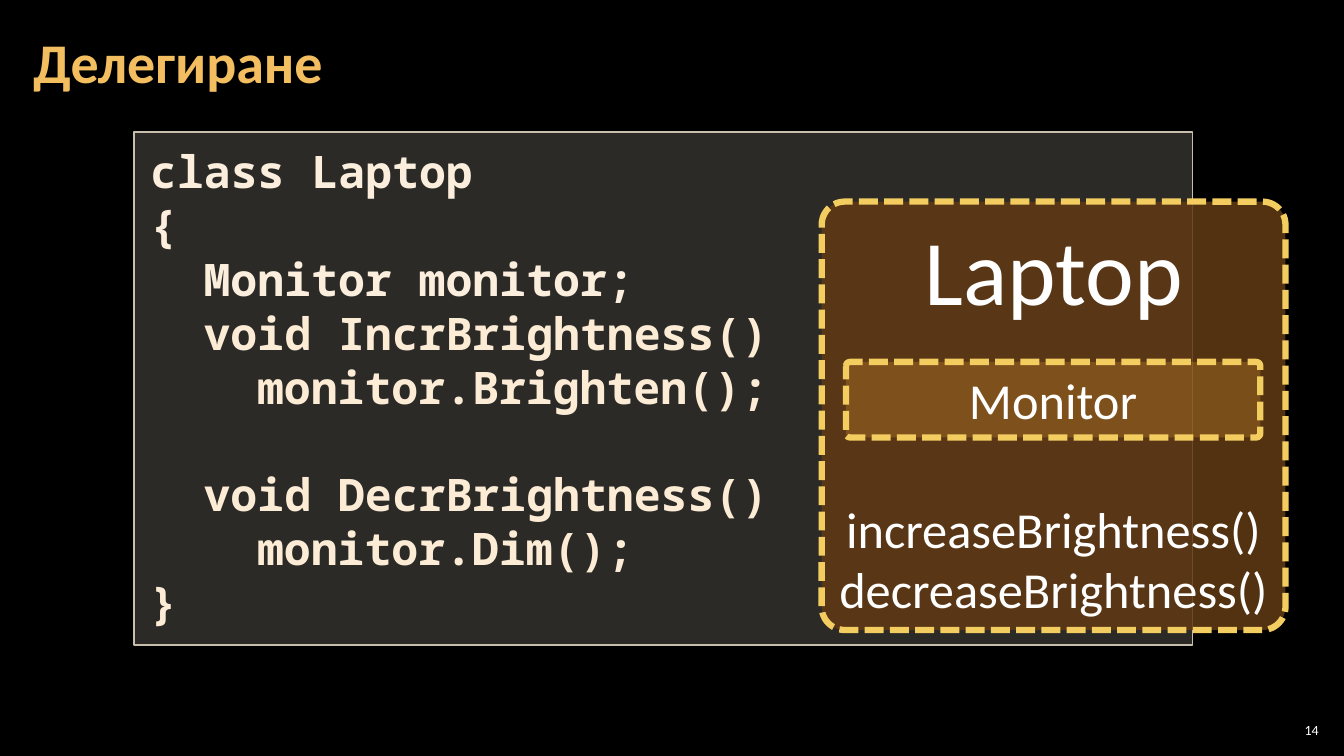
from pptx import Presentation
from pptx.dml.color import RGBColor
from pptx.enum.dml import MSO_LINE
from pptx.enum.shapes import MSO_SHAPE as SHAPE
from pptx.enum.text import MSO_ANCHOR as ANCHOR, PP_ALIGN as ALIGN
from pptx.oxml.ns import qn
from pptx.util import Inches, Pt
from lxml.etree import SubElement

COLORS = {
    "background": "000000",
    "title": "F3BE60",
    "white": "FFFFFF",
    "panel": "D9D5C7",
    "panel_line": "C7BFAC",
    "declaration": "FBEEDC",
    "method": "FCECD5",
    "laptop": "603A14",
    "monitor": "F0A22E",
    "dash": "F3CD60",
}
TEXT_FONT = "Calibri"
CODE_FONT = "Noto Sans Mono"
CODE_PITCH = Pt(38.4)
CODE_INDENT = 0.53

CODE = [
    ("class Laptop", 0, 0, "declaration"),
    ("{", 0, 0, "declaration"),
    ("Monitor monitor;", 1, 0, "declaration"),
    ("void IncrBrightness()", 1, 0, "method"),
    ("monitor.Brighten();", 2, 0, "method"),
    ("void DecrBrightness()", 1, 1, "method"),
    ("monitor.Dim();", 2, 0, "method"),
    ("}", 0, 0, "method"),
]


class Deck:
    def __init__(self):
        self.prs = Presentation()
        self.prs.slide_width = Inches(13.33)
        self.prs.slide_height = Inches(7.5)
        self.s = self.prs.slides.add_slide(self.prs.slide_layouts[5])
        fill = self.s.background.fill
        fill.solid()
        fill.fore_color.rgb = self.color("background")

    def color(self, name):
        return RGBColor.from_string(COLORS[name])

    def frame(self, sp, margin_x, margin_y, anchor):
        tf = sp.text_frame
        tf.word_wrap = True
        tf.vertical_anchor = anchor
        tf.margin_left = tf.margin_right = Inches(margin_x)
        tf.margin_top = tf.margin_bottom = Inches(margin_y)
        return tf

    def paragraph(self, tf, text, size, color, align=ALIGN.LEFT, font=TEXT_FONT, bold=False):
        p = tf.add_paragraph() if tf.text else tf.paragraphs[0]
        p.text = text
        p.alignment = align
        p.font.size = Pt(size)
        p.font.name = font
        p.font.bold = bold
        p.font.color.rgb = self.color(color)
        return p

    def title(self, text, *box):
        sp = self.s.shapes.title
        sp.left, sp.top, sp.width, sp.height = map(Inches, box)
        tf = self.frame(sp, 0.12, 0.04, ANCHOR.MIDDLE)
        self.paragraph(tf, text, 40, "title", bold=True).line_spacing = 0.9

    def page_number(self, text, *box):
        sp = self.s.shapes.add_textbox(*map(Inches, box))
        tf = self.frame(sp, 0.04, 0.04, ANCHOR.MIDDLE)
        self.paragraph(tf, text, 10, "white", ALIGN.RIGHT)

    def shape(self, shapes, kind, fill, alpha, line, width, *box):
        sp = shapes.add_shape(kind, *map(Inches, box))
        sp.shadow.inherit = False
        sp.fill.solid()
        sp.fill.fore_color.rgb = self.color(fill)
        rgb = sp._element.spPr.find(qn("a:solidFill")).find(qn("a:srgbClr"))
        SubElement(rgb, qn("a:alpha"), val=str(alpha * 1000))
        sp.line.color.rgb = self.color(line)
        sp.line.width = Pt(width)
        return sp

    def code(self, lines, *box):
        sp = self.shape(self.s.shapes, SHAPE.RECTANGLE, "panel", 20, "panel_line", 1, *box)
        tf = self.frame(sp, 0.16, 0.12, ANCHOR.TOP)
        for text, level, skipped, color in lines:
            p = self.paragraph(tf, text, 32, color, font=CODE_FONT, bold=True)
            p.line_spacing = CODE_PITCH
            p.space_before = Pt(CODE_PITCH.pt * skipped)
            p._p.get_or_add_pPr().set("marL", str(Inches(CODE_INDENT * level)))

    def dashed_box(self, shapes, fill, alpha, lines, *box):
        sp = self.shape(shapes, SHAPE.ROUNDED_RECTANGLE, fill, alpha, "dash", 4.5, *box)
        sp.adjustments[0] = 0.054
        sp.line.dash_style = MSO_LINE.SQUARE_DOT
        tf = self.frame(sp, 0.1, 0.05, ANCHOR.MIDDLE)
        for text, size, gap in lines:
            p = self.paragraph(tf, text, size, "white", ALIGN.CENTER)
            p.space_before = Pt(gap)


def main():
    deck = Deck()
    deck.page_number("14", 12.65, 7.14, 0.47, 0.21)
    deck.title("Делегиране", 0.21, 0.04, 10.47, 1.21)
    deck.code(CODE, 1.33, 1.31, 10.5, 5.09)
    group = deck.s.shapes.add_group_shape()
    laptop = [
        ("Laptop", 66, 0),
        ("increaseBrightness()", 36, 124.5),
        ("decreaseBrightness()", 36, 0),
    ]
    deck.dashed_box(group.shapes, "laptop", 87, laptop, 8.15, 2, 4.6, 4.25)
    deck.dashed_box(group.shapes, "monitor", 25, [("Monitor", 36, 0)], 8.39, 3.59, 4.11, 0.75)
    deck.prs.save("out.pptx")


if __name__ == "__main__":
    main()
